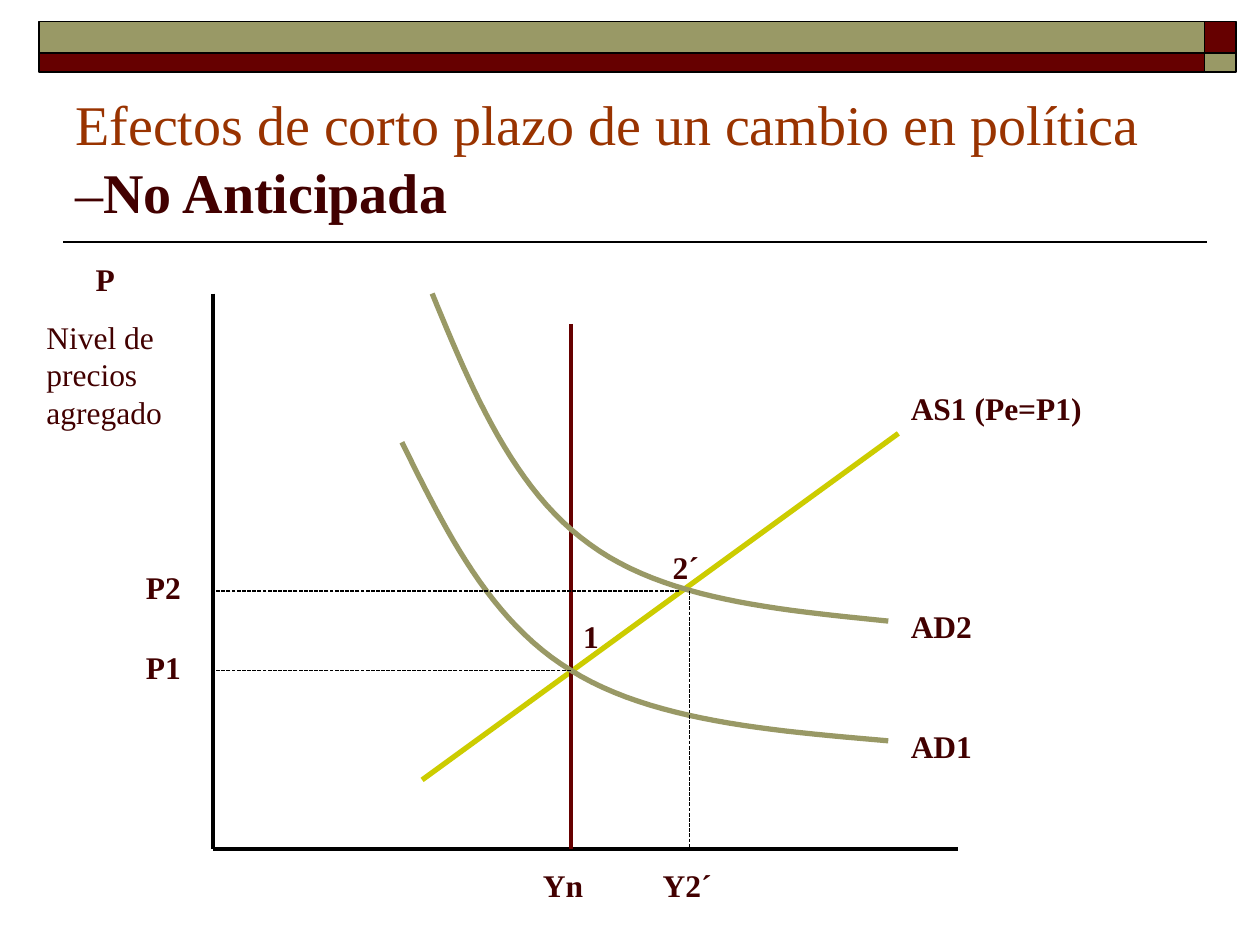
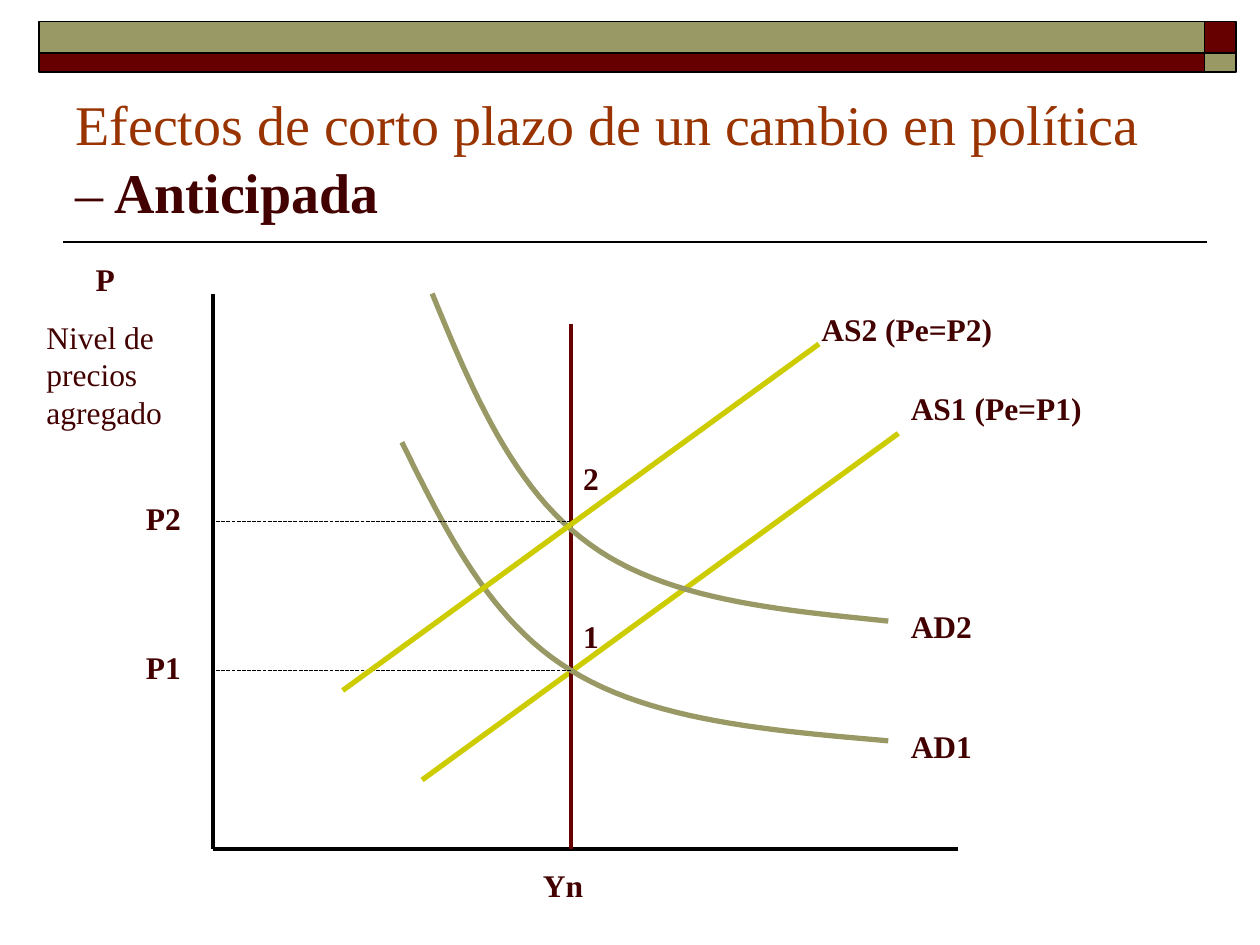
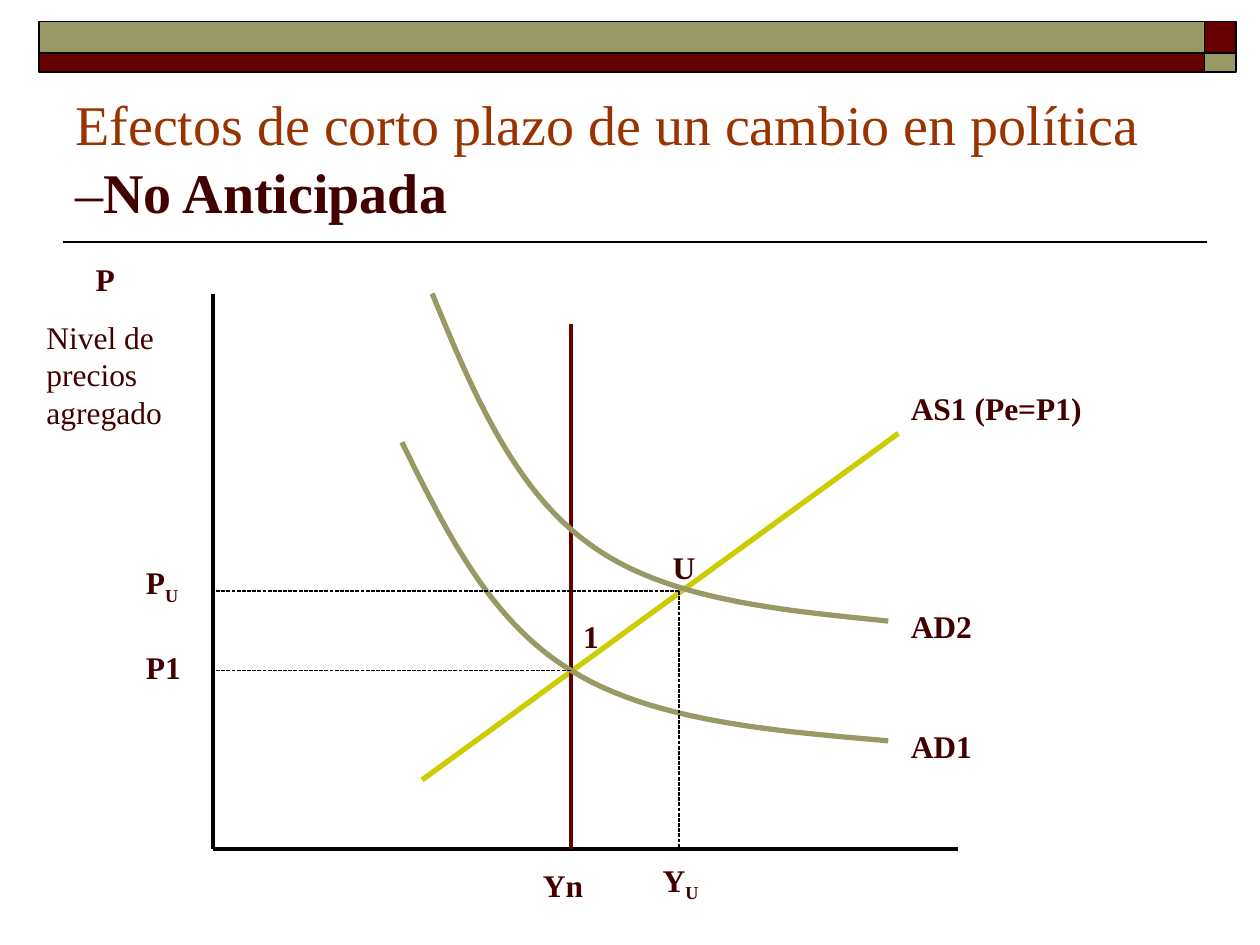
"""Build three slides on the short-run effects of a policy change."""
from dataclasses import dataclass

from lxml.etree import SubElement
from pptx import Presentation
from pptx.dml.color import RGBColor
from pptx.enum.dml import MSO_LINE
from pptx.enum.shapes import MSO_CONNECTOR, MSO_SHAPE
from pptx.enum.text import MSO_ANCHOR, MSO_AUTO_SIZE, PP_ALIGN
from pptx.oxml.ns import qn
from pptx.util import Inches, Pt

Point = tuple[float, float]


@dataclass(frozen=True)
class Theme:
    """Colours, font, type sizes and line weights shared by the slides."""
    olive: RGBColor = RGBColor(0x99, 0x99, 0x66)
    maroon: RGBColor = RGBColor(0x66, 0x00, 0x00)
    rust: RGBColor = RGBColor(0x99, 0x33, 0x00)
    ink: RGBColor = RGBColor(0x42, 0x00, 0x00)
    lime: RGBColor = RGBColor(0xCC, 0xCC, 0x00)
    black: RGBColor = RGBColor(0x00, 0x00, 0x00)
    font: str = "Times New Roman"
    title_size: float = 32
    label_size: float = 18
    label_space: float = 11.2
    guide: float = 0.75
    rule: float = 1
    axis: float = 2.25
    curve: float = 3


@dataclass(frozen=True)
class Stroke:
    """A straight line between two points."""
    start: Point
    end: Point
    color: RGBColor
    weight: float
    dotted: bool = False


@dataclass(frozen=True)
class Label:
    """A bold one-line label with an optional subscript."""
    text: str
    left: float
    top: float
    width: float = 0.95
    subscript: str = ""


@dataclass(frozen=True)
class Band:
    """A filled rectangle of the header."""
    left: float
    top: float
    width: float
    height: float
    color: RGBColor


@dataclass(frozen=True)
class Diagram:
    """The title ending and the parts that one slide adds to the base diagram."""
    ending: str
    labels: tuple[Label, ...]
    strokes: tuple[Stroke, ...]


THEME = Theme()
AXIS_X, AXIS_Y = 1.69, 6.74
NATURAL_X, PRICE_1 = 4.53, 5.32
SHORT_RUN_PRICE, SHORT_RUN_X = 4.69, 5.39
CURVE_STEPS = 24

BANDS = tuple(
    Band(left, top, width, height, color)
    for top, height, colors in (
        (0.17, 0.25, (THEME.olive, THEME.maroon)),
        (0.42, 0.15, (THEME.maroon, THEME.olive)),
    )
    for left, width, color in zip((0.31, 9.56), (9.25, 0.25), colors)
)
TITLE_RULE = Stroke((0.5, 1.92), (9.58, 1.92), THEME.black, THEME.rule)


def price_guide(price: float, output: float) -> Stroke:
    """Return the dotted line from a point to the price axis."""
    return Stroke((output, price), (AXIS_X, price), THEME.black, THEME.guide, True)


def output_guide(price: float, output: float) -> Stroke:
    """Return the dotted line from a point to the output axis."""
    return Stroke((output, price), (output, AXIS_Y), THEME.black, THEME.guide, True)


def supply_line(left: float, bottom: float) -> Stroke:
    """Return a supply line rising from its lower left end."""
    return Stroke((left, bottom), (left + 3.78, bottom - 2.75), THEME.lime, THEME.curve)


BASE_STROKES = (
    supply_line(3.35, 6.19),
    Stroke((AXIS_X, 2.33), (AXIS_X, AXIS_Y), THEME.black, THEME.axis),
    Stroke((AXIS_X, AXIS_Y), (7.6, AXIS_Y), THEME.black, THEME.axis),
    Stroke((NATURAL_X, 2.57), (NATURAL_X, AXIS_Y), THEME.maroon, THEME.axis),
)
DEMAND_CURVES = (
    ((3.19, 3.51), (3.54, 4.22), (3.89, 4.93), (4.53, 5.32),
     (5.17, 5.72), (6.11, 5.8), (7.05, 5.88)),
    ((3.43, 2.33), (3.75, 3.11), (4.08, 3.89), (4.68, 4.32),
     (5.28, 4.76), (6.17, 4.84), (7.05, 4.93)),
)
BASE_LABELS = (
    Label("1", 4.53, 4.85),
    Label("Yn", 4.21, 6.82),
    Label("AS1 (Pe=P1)", 7.13, 3.04, 1.81),
    Label("AD1", 7.13, 5.72),
    Label("AD2", 7.13, 4.77),
    Label("P1", 1.06, 5.09, 0.63),
)
DIAGRAMS = (
    Diagram(
        "No Anticipada",
        (Label("2´", 5.24, 4.3), Label("Y2´", 5.16, 6.82), Label("P2", 1.06, 4.46, 0.63)),
        (price_guide(SHORT_RUN_PRICE, SHORT_RUN_X), output_guide(SHORT_RUN_PRICE, 5.47)),
    ),
    Diagram(
        " Anticipada",
        (Label("2", 4.53, 3.59, 0.39), Label("P2", 1.06, 3.91, 0.63),
         Label("AS2 (Pe=P2)", 6.42, 2.41, 1.81)),
        (price_guide(4.14, NATURAL_X), supply_line(2.72, 5.48)),
    ),
    Diagram(
        "No Anticipada",
        (Label("U", 5.24, 4.3), Label("Y", 5.16, 6.82, subscript="U"),
         Label("P", 1.06, 4.46, 0.63, "U")),
        (price_guide(SHORT_RUN_PRICE, SHORT_RUN_X),
         output_guide(SHORT_RUN_PRICE, SHORT_RUN_X)),
    ),
)


def format_span(span, size: float, color: RGBColor, bold: bool = False) -> None:
    """Apply the theme font to one run."""
    span.font.name = THEME.font
    span.font.size = Pt(size)
    span.font.color.rgb = color
    span.font.bold = bold


def add_text_box(page, left: float, top: float, width: float, height: float):
    """Add a wrapping, bottom-anchored text box and return its frame."""
    box = page.shapes.add_textbox(Inches(left), Inches(top), Inches(width), Inches(height))
    frame = box.text_frame
    frame.word_wrap = True
    frame.vertical_anchor = MSO_ANCHOR.BOTTOM
    return frame


def draw_stroke(page, stroke: Stroke) -> None:
    """Draw one straight line."""
    ends = [Inches(value) for value in (*stroke.start, *stroke.end)]
    connector = page.shapes.add_connector(MSO_CONNECTOR.STRAIGHT, *ends)
    connector.line.color.rgb = stroke.color
    connector.line.width = Pt(stroke.weight)
    if stroke.dotted:
        connector.line.dash_style = MSO_LINE.SQUARE_DOT
    SubElement(connector._element.spPr, qn("a:effectLst"))


def draw_band(page, band: Band) -> None:
    """Draw one rectangle of the header."""
    box = page.shapes.add_shape(
        MSO_SHAPE.RECTANGLE, Inches(band.left), Inches(band.top),
        Inches(band.width), Inches(band.height))
    box.shadow.inherit = False
    box.fill.solid()
    box.fill.fore_color.rgb = band.color
    box.line.color.rgb = THEME.black
    box.line.width = Pt(THEME.rule)


def bezier_point(controls: tuple[Point, ...], t: float) -> Point:
    """Return the point at parameter t of a cubic curve."""
    weights = ((1 - t) ** 3, 3 * t * (1 - t) ** 2, 3 * t ** 2 * (1 - t), t ** 3)
    x, y = (sum(w * value for w, value in zip(weights, axis)) for axis in zip(*controls))
    return x, y


def draw_curve(page, controls: tuple[Point, ...]) -> None:
    """Draw a demand curve made of joined cubic segments."""
    points = [controls[0]] + [
        bezier_point(controls[first:first + 4], step / CURVE_STEPS)
        for first in range(0, len(controls) - 1, 3)
        for step in range(1, CURVE_STEPS + 1)
    ]
    start, *rest = [(Inches(x), Inches(y)) for x, y in points]
    builder = page.shapes.build_freeform(*start)
    builder.add_line_segments(rest, close=False)
    curve = builder.convert_to_shape()
    curve.shadow.inherit = False
    curve.fill.background()
    curve.line.color.rgb = THEME.olive
    curve.line.width = Pt(THEME.curve)


def draw_label(page, label: Label) -> None:
    """Draw one label, growing upwards when it has a subscript."""
    extra = 0.04 if label.subscript else 0
    frame = add_text_box(page, label.left, label.top - extra, label.width, 0.4 + extra)
    frame.auto_size = MSO_AUTO_SIZE.SHAPE_TO_FIT_TEXT
    frame.text = label.text
    para = frame.paragraphs[0]
    para.space_before = Pt(THEME.label_space)
    if label.subscript:
        span = para.add_run()
        span.text = label.subscript
        span.font._element.set("baseline", "-25000")
    for span in para.runs:
        format_span(span, THEME.label_size, THEME.ink, bold=True)


def draw_price_caption(page) -> None:
    """Draw the caption of the price axis."""
    frame = add_text_box(page, 0.27, 2.01, 1.18, 1.46)
    frame.auto_size = MSO_AUTO_SIZE.SHAPE_TO_FIT_TEXT
    frame.text = "P \nNivel de precios agregado"
    for para, bold in zip(frame.paragraphs, (True, False)):
        para.space_before = Pt(THEME.label_space)
        format_span(para.runs[0], THEME.label_size, THEME.ink, bold)
    frame.paragraphs[0].alignment = PP_ALIGN.CENTER


def draw_title(page, ending: str) -> None:
    """Draw the two-line title with its bold ending."""
    para = add_text_box(page, 0.5, 0.58, 9, 1.25).paragraphs[0]
    para.text = "Efectos de corto plazo de un cambio en política \v–"
    para.add_run().text = ending
    styles = ((THEME.rust, False), (THEME.ink, False), (THEME.ink, True))
    for span, (color, bold) in zip(para.runs, styles):
        format_span(span, THEME.title_size, color, bold)


def draw_slide(page, diagram: Diagram) -> None:
    """Draw the header, the base diagram and the parts of one slide."""
    draw_stroke(page, TITLE_RULE)
    for band in BANDS:
        draw_band(page, band)
    draw_title(page, diagram.ending)
    for stroke in BASE_STROKES:
        draw_stroke(page, stroke)
    for controls in DEMAND_CURVES:
        draw_curve(page, controls)
    for stroke in (price_guide(PRICE_1, NATURAL_X), *diagram.strokes):
        draw_stroke(page, stroke)
    draw_price_caption(page)
    for label in BASE_LABELS + diagram.labels:
        draw_label(page, label)


def main() -> None:
    """Build and save the deck."""
    deck = Presentation()
    deck.slide_width, deck.slide_height = Inches(10), Inches(7.5)
    for diagram in DIAGRAMS:
        draw_slide(deck.slides.add_slide(deck.slide_layouts[6]), diagram)
    deck.save("out.pptx")


if __name__ == "__main__":
    main()
